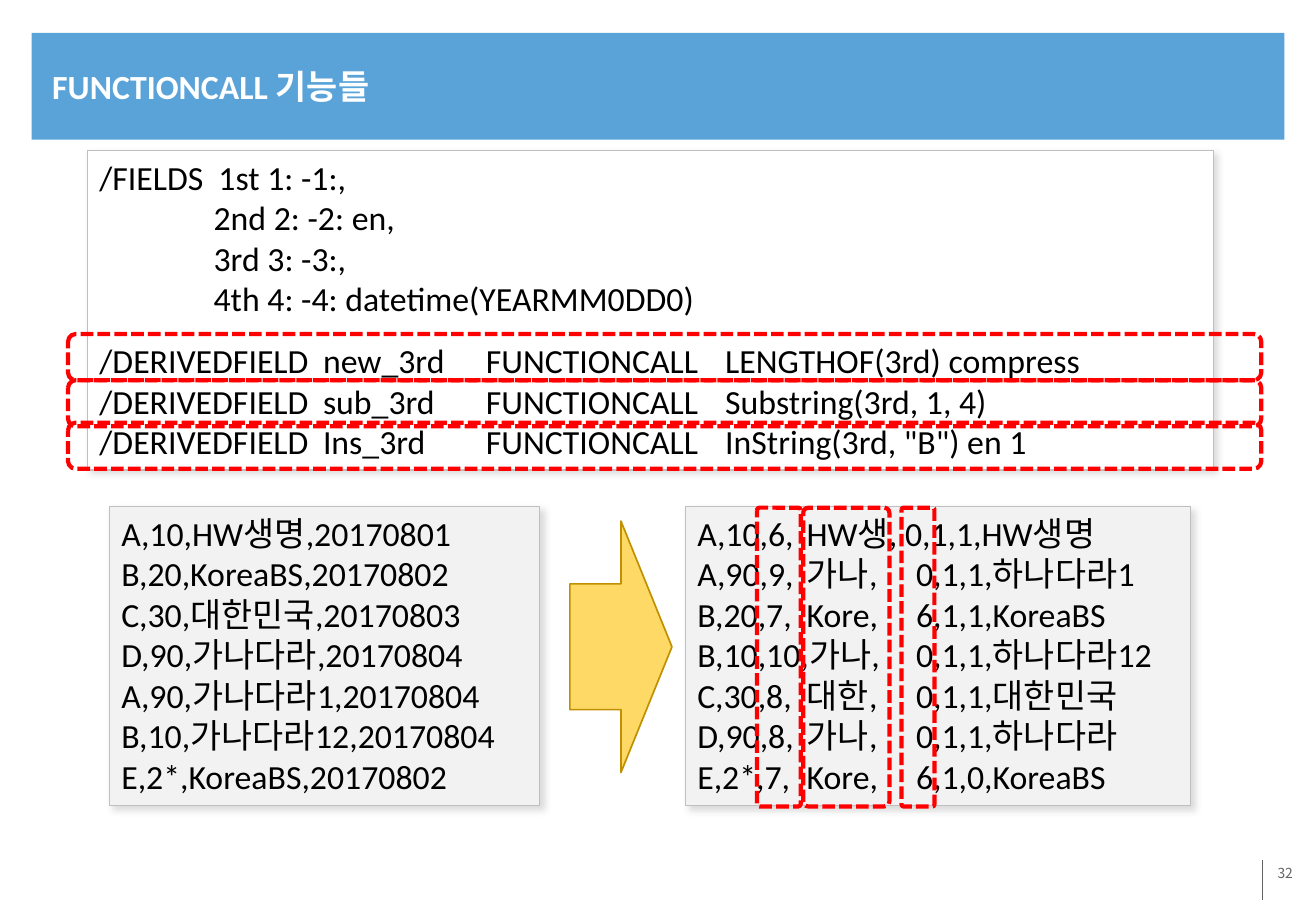
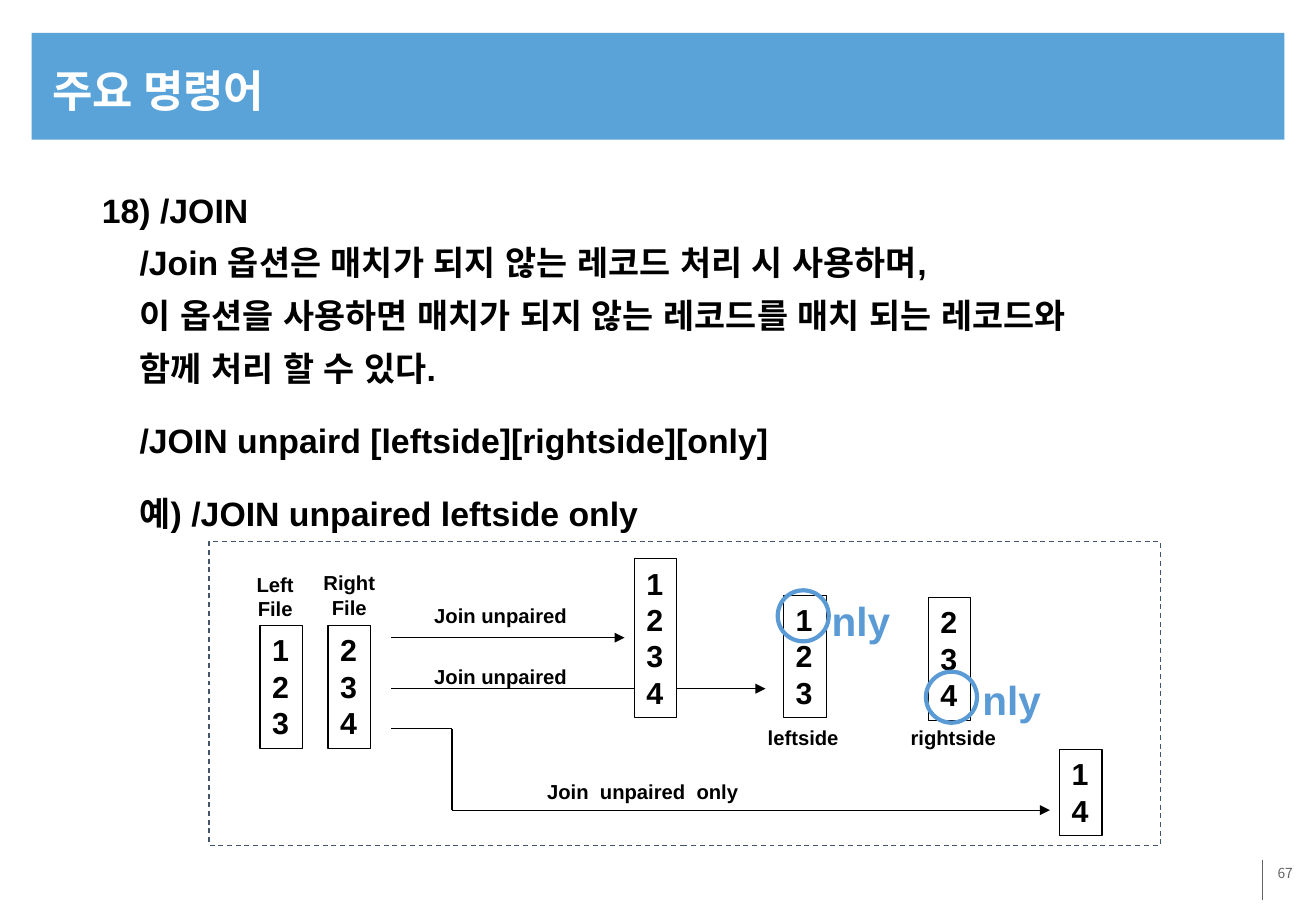
from dataclasses import dataclass

from lxml.etree import SubElement
from pptx import Presentation
from pptx.dml.color import RGBColor
from pptx.enum.dml import MSO_LINE
from pptx.enum.shapes import MSO_CONNECTOR as CONN, MSO_SHAPE as SHAPE
from pptx.enum.text import MSO_ANCHOR as ANCHOR, MSO_AUTO_SIZE as AUTO, PP_ALIGN as ALIGN
from pptx.oxml.ns import qn
from pptx.util import Inches, Pt

BLUE, GRAY, BLACK, WHITE, RED = "5AA3D9", "636467", "000000", "FFFFFF", "FF0000"
CIRCLE_BLUE = "5B9BD5"


@dataclass(frozen=True)
class Style:
    font: str
    size: float
    color: str = BLACK
    bold: bool = False
    align: ALIGN = ALIGN.LEFT
    spacing: float = 1.0


@dataclass(frozen=True)
class Para:
    text: str
    indent: float = 0
    before: float = 0
    tabs: tuple[float, ...] = ()


@dataclass(frozen=True)
class Box:
    left: float
    top: float
    width: float
    height: float
    fill: str | None = None
    line: str | None = None
    weight: float = 0.75
    dash: MSO_LINE | None = None
    kind: SHAPE = SHAPE.RECTANGLE
    adj: float | None = None
    shadow: bool = False


@dataclass(frozen=True)
class Stack:
    left: float
    top: float
    height: float
    digits: str
    fill: str | None = WHITE


@dataclass(frozen=True)
class Label:
    left: float
    top: float
    width: float
    height: float
    text: str


@dataclass(frozen=True)
class Rule:
    x1: float
    y1: float
    x2: float
    y2: float
    arrow: bool = False


CODE = Style("Calibri", 20)
BODY = Style("Arial", 20, bold=True, spacing=1.3)
DIGIT = Style("Arial", 18, bold=True)
CAPTION = Style("Arial", 12, bold=True, align=ALIGN.CENTER)
SUFFIX = Style("Arial", 24, CIRCLE_BLUE, True, ALIGN.CENTER)
PAGE = Style("Noto Sans CJK KR", 8.2, GRAY, align=ALIGN.RIGHT)

FIELD_INDENT = 0.94
DERIVED_TABS = (1.84, 3.18, 5.15)
RESULT_TABS = (0.9, 1.8)
FIELDS = [
    Para("/FIELDS\t1st 1: -1:,", tabs=(0.98,)),
    Para("2nd 2: -2: en,", FIELD_INDENT),
    Para("3rd 3: -3:,", FIELD_INDENT),
    Para("4th 4: -4: datetime(YEARMM0DD0)", FIELD_INDENT),
    Para("/DERIVEDFIELD\tnew_3rd\tFUNCTIONCALL\tLENGTHOF(3rd) compress",
         before=12.8, tabs=DERIVED_TABS),
    Para("/DERIVEDFIELD\tsub_3rd\tFUNCTIONCALL\tSubstring(3rd, 1, 4)", tabs=DERIVED_TABS),
    Para('/DERIVEDFIELD\tIns_3rd\tFUNCTIONCALL\tInString(3rd, "B") en 1', tabs=DERIVED_TABS),
]
INPUT_ROWS = [
    "A,10,HW생명,20170801", "B,20,KoreaBS,20170802", "C,30,대한민국,20170803",
    "D,90,가나다라,20170804", "A,90,가나다라1,20170804",
    "B,10,가나다라12,20170804", "E,2*,KoreaBS,20170802",
]
RESULT_ROWS = [
    "A,10,6,\tHW생, 0,1,1,HW생명", "A,90,9,\t가나,\t0,1,1,하나다라1",
    "B,20,7,\tKore,\t6,1,1,KoreaBS", "B,10,10,가나,\t0,1,1,하나다라12",
    "C,30,8,\t대한,\t0,1,1,대한민국", "D,90,8,\t가나,\t0,1,1,하나다라",
    "E,2*,7,\tKore,\t6,1,0,KoreaBS",
]
JOIN_INDENT = 0.31
JOIN_TEXT = [
    Para("18) /JOIN"),
    Para("/Join 옵션은 매치가 되지 않는 레코드 처리 시 사용하며,\v"
         "이 옵션을 사용하면 매치가 되지 않는 레코드를 매치 되는 레코드와\v"
         "함께 처리 할 수 있다.", JOIN_INDENT),
    Para("/JOIN unpaird [leftside][rightside][only]", JOIN_INDENT, 12),
    Para("예) /JOIN unpaired leftside only", JOIN_INDENT, 12),
]
STACKS = [
    Stack(2.14, 5.15, 1.01, "123"), Stack(2.7, 5.15, 1.01, "234", None),
    Stack(5.22, 4.6, 1.31, "1234"), Stack(6.45, 4.9, 1.01, "123"),
    Stack(7.64, 4.92, 1.01, "234"), Stack(8.72, 6.17, 0.71, "14"),
]
RULES = [
    Rule(3.22, 5.25, 5.14, 5.25, True), Rule(3.22, 5.67, 6.3, 5.67, True),
    Rule(3.72, 6.67, 8.64, 6.67, True), Rule(3.72, 6.67, 3.72, 6),
    Rule(3.72, 6, 3.22, 6),
]
LABELS = [
    Label(3.47, 4.92, 1.3, 0.3, "Join unpaired"),
    Label(3.47, 5.42, 1.3, 0.3, "Join unpaired"),
    Label(6.22, 5.92, 0.78, 0.3, "leftside"),
    Label(7.39, 5.92, 0.91, 0.3, "rightside"),
    Label(4.4, 6.37, 1.78, 0.3, "Join  unpaired  only"),
    Label(2.01, 4.66, 0.51, 0.5, "Left\vFile"),
    Label(2.56, 4.65, 0.63, 0.5, "Right\vFile"),
]


def rgb(value: str) -> RGBColor:
    return RGBColor.from_string(value)


def set_attrs(target, values: dict) -> None:
    for name, value in values.items():
        setattr(target, name, value)


def write(sp, paras: list[Para], style: Style, wrap: bool = True,
          anchor: ANCHOR = ANCHOR.TOP, inset: tuple[float, float] = (0.1, 0.05)) -> None:
    tf = sp.text_frame
    x, y = map(Inches, inset)
    set_attrs(tf, {"auto_size": AUTO.NONE, "word_wrap": wrap, "vertical_anchor": anchor,
                   "margin_left": x, "margin_right": x, "margin_top": y, "margin_bottom": y})
    for i, para in enumerate(paras):
        p = tf.add_paragraph() if i else tf.paragraphs[0]
        p.text = para.text
        set_attrs(p, {"alignment": style.align, "line_spacing": style.spacing,
                      "space_before": Pt(para.before)})
        p_pr = p._p.get_or_add_pPr()
        if para.indent:
            p_pr.set("marL", str(Inches(para.indent)))
            p_pr.set("indent", "0")
        if para.tabs:
            p_pr.set("defTabSz", str(Inches(para.tabs[0])))
            tabs = SubElement(p_pr, qn("a:tabLst"))
            for pos in para.tabs:
                SubElement(tabs, qn("a:tab"), pos=str(Inches(pos)), algn="l")
        for r in p.runs:
            set_attrs(r.font, {"name": style.font, "size": Pt(style.size), "bold": style.bold})
            r.font.color.rgb = rgb(style.color)
            SubElement(r._r.get_or_add_rPr(), qn("a:ea"), typeface=style.font)


def add_box(s, box: Box):
    sp = s.shapes.add_shape(box.kind, *map(Inches, (box.left, box.top, box.width, box.height)))
    sp.shadow.inherit = False
    if box.adj is not None:
        sp.adjustments[0] = box.adj
    if box.fill:
        sp.fill.solid()
        sp.fill.fore_color.rgb = rgb(box.fill)
    else:
        sp.fill.background()
    if box.line:
        sp.line.color.rgb = rgb(box.line)
        set_attrs(sp.line, {"width": Pt(box.weight), "dash_style": box.dash})
    else:
        sp.line.fill.background()
    if box.shadow:
        effects = sp._element.spPr.find(qn("a:effectLst"))
        outer = SubElement(effects, qn("a:outerShdw"), blurRad=str(Pt(4)), dist=str(Pt(3)),
                           dir="2700000", algn="tl", rotWithShape="0")
        color = SubElement(outer, qn("a:srgbClr"), val="A6A6A6")
        SubElement(color, qn("a:alpha"), val="40000")
    return sp


def add_label(s, label: Label, style: Style) -> None:
    sp = s.shapes.add_textbox(*map(Inches, (label.left, label.top, label.width, label.height)))
    write(sp, [Para(label.text)], style, wrap=False)


def add_rule(s, rule: Rule, color: str = BLACK) -> None:
    cx = s.shapes.add_connector(CONN.STRAIGHT,
                                *map(Inches, (rule.x1, rule.y1, rule.x2, rule.y2)))
    cx.line.color.rgb = rgb(color)
    cx.line.width = Pt(0.75)
    if rule.arrow:
        SubElement(cx.line._get_or_add_ln(), qn("a:tailEnd"), type="triangle")
    SubElement(cx._element.spPr, qn("a:effectLst"))


def add_page(prs, title: str, size: float, top: float, number: int, spacing: float = 1.0):
    s = prs.slides.add_slide(prs.slide_layouts[5])
    add_box(s, Box(0.26, 0.27, 10.31, 0.88, fill=BLUE))
    sp = s.shapes.title
    set_attrs(sp, {"left": Inches(0.33), "top": Inches(top),
                   "width": Inches(10.2), "height": Inches(0.79)})
    write(sp, [Para(title)], Style("Calibri", size, WHITE, True, spacing=spacing),
          anchor=ANCHOR.MIDDLE)
    s.shapes._spTree.append(sp._element)
    page = s.shapes.add_textbox(*map(Inches, (8.88, 7.08, 1.83, 0.4)))
    write(page, [Para(str(number))], PAGE, inset=(0.07, 0.04))
    add_rule(s, Rule(10.39, 7.08, 10.39, 7.41), GRAY)
    return s


def build_functioncall(prs) -> None:
    s = add_page(prs, "FUNCTIONCALL 기능들", 20, 0.31, 32)
    panels = [
        (Box(0.72, 1.24, 9.27, 2.63, WHITE, "BFBFBF", shadow=True), FIELDS),
        (Box(0.9, 4.17, 3.54, 2.46, "F2F2F2", "BFBFBF", shadow=True),
         [Para(row) for row in INPUT_ROWS]),
        (Box(5.64, 4.17, 4.16, 2.46, "F2F2F2", "BFBFBF", shadow=True),
         [Para(row, tabs=RESULT_TABS) for row in RESULT_ROWS]),
    ]
    for box, paras in panels:
        write(add_box(s, box), paras, CODE)
    add_box(s, Box(4.69, 4.29, 0.84, 2.07, "FFD966", "BF9000", 1, kind=SHAPE.RIGHT_ARROW))
    marks = [(0.56, top, 9.82, 0.38, None) for top in (2.75, 3.13, 3.48)]
    marks += [(left, 4.18, width, 2.46, 0.06)
              for left, width in ((6.23, 0.36), (6.61, 0.71), (7.42, 0.27))]
    for left, top, width, height, adj in marks:
        add_box(s, Box(left, top, width, height, None, RED, 2.5, MSO_LINE.SQUARE_DOT,
                       SHAPE.ROUNDED_RECTANGLE, adj))


def build_join(prs) -> None:
    s = add_page(prs, "주요 명령어", 26, 0.37, 67, 0.9)
    body = s.shapes.add_textbox(*map(Inches, (0.74, 1.41, 9.48, 3.06)))
    write(body, JOIN_TEXT, BODY)
    for rule in RULES:
        add_rule(s, rule)
    for stack in STACKS:
        sp = add_box(s, Box(stack.left, stack.top, 0.35, stack.height, stack.fill, BLACK))
        write(sp, [Para(digit) for digit in stack.digits], DIGIT, wrap=False)
    for label in LABELS:
        add_label(s, label, CAPTION)
    add_box(s, Box(1.72, 4.46, 7.83, 2.5, None, "44546A", dash=MSO_LINE.DASH))
    for left, top in ((6.4, 4.86), (7.62, 5.53)):
        add_box(s, Box(left, top, 0.42, 0.42, None, CIRCLE_BLUE, 2.5, kind=SHAPE.OVAL))
    for left, top in ((6.74, 4.86), (7.98, 5.51)):
        add_label(s, Label(left, top, 0.69, 0.51, "nly"), SUFFIX)


def main() -> None:
    prs = Presentation()
    set_attrs(prs, {"slide_width": Inches(10.83), "slide_height": Inches(7.5)})
    build_functioncall(prs)
    build_join(prs)
    prs.save("out.pptx")


if __name__ == "__main__":
    main()
